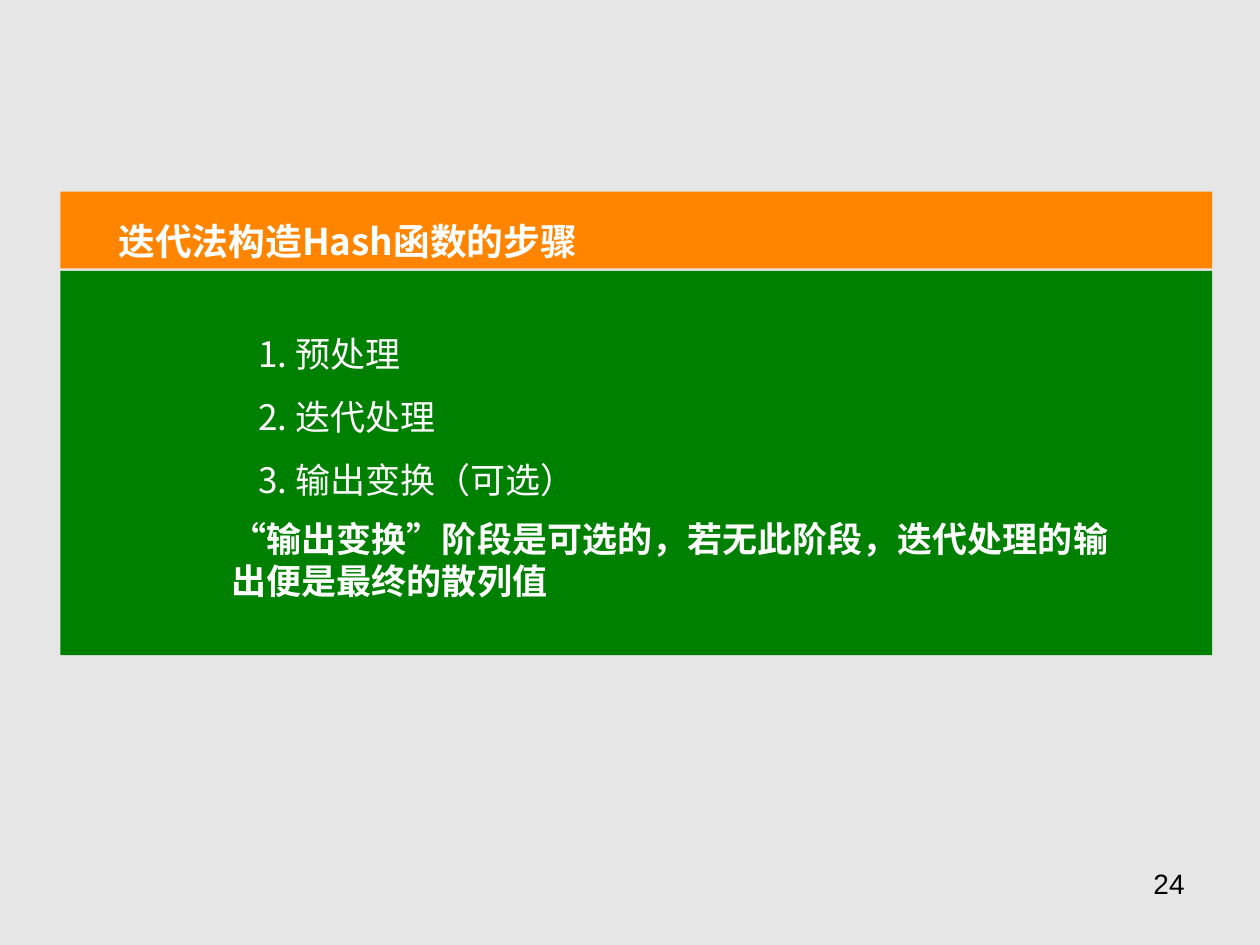
from lxml import etree
from pptx import Presentation
from pptx.dml.color import RGBColor
from pptx.enum.shapes import MSO_SHAPE
from pptx.enum.text import MSO_ANCHOR, MSO_AUTO_SIZE, PP_ALIGN
from pptx.oxml.ns import qn
from pptx.util import Inches, Pt

RECTANGLE = MSO_SHAPE.RECTANGLE
TOP = MSO_ANCHOR.TOP
NO_AUTOFIT = MSO_AUTO_SIZE.NONE
LEFT, RIGHT = PP_ALIGN.LEFT, PP_ALIGN.RIGHT

PANEL_LEFT, PANEL_WIDTH = 0.48, 9.14
STEPS = ["预处理", "迭代处理", "输出变换（可选）"]


def color(value):
    return RGBColor.from_string(value)


class SlideBuilder:
    font = "Noto Sans CJK SC"
    background = "E7E6E6"
    banner = "FF8500"
    panel = "008000"
    light = "FFFFFF"
    dark = "000000"

    def __init__(self, slide):
        self.slide = slide
        fill = slide.background.fill
        fill.solid()
        fill.fore_color.rgb = color(self.background)

    def rectangle(self, left, top, width, height, fill):
        shape = self.slide.shapes.add_shape(
            RECTANGLE, Inches(left), Inches(top), Inches(width), Inches(height))
        shape.shadow.inherit = False
        shape.fill.solid()
        shape.fill.fore_color.rgb = color(fill)
        shape.line.fill.background()

    def placeholder(self, shape, box, lines, size, **style):
        element = shape._element
        element.getparent().append(element)
        shape.left, shape.top, shape.width, shape.height = map(Inches, box)
        self.set_text(shape.text_frame, lines, size, **style)

    def text_box(self, box, lines, size, **style):
        shape = self.slide.shapes.add_textbox(*map(Inches, box))
        self.set_text(shape.text_frame, lines, size, **style)

    def set_text(self, frame, lines, size, bold=False, spacing=1.0, indent=0,
                 align=LEFT, font=None, fill=None):
        frame.text = "\n".join(lines)
        frame.word_wrap = True
        frame.auto_size = NO_AUTOFIT
        frame.vertical_anchor = TOP
        for paragraph in frame.paragraphs:
            properties = paragraph._p.get_or_add_pPr()
            properties.set("marL", str(Inches(indent)))
            properties.set("indent", "0")
            etree.SubElement(properties, qn("a:buNone"))
            paragraph.alignment = align
            paragraph.line_spacing = spacing
            paragraph.space_before = Pt(0)
            for run in paragraph.runs:
                self.format_run(run, size, bold, font or self.font, fill or self.light)

    def format_run(self, run, size, bold, font, fill):
        run.font.size = Pt(size)
        run.font.bold = bold
        run.font.name = font
        run.font.color.rgb = color(fill)
        properties = run._r.get_or_add_rPr()
        properties.set("lang", "zh-CN")
        etree.SubElement(properties, qn("a:ea")).set("typeface", font)


def main():
    presentation = Presentation()
    presentation.slide_width = Inches(10)
    presentation.slide_height = Inches(7.5)
    slide = presentation.slides.add_slide(presentation.slide_layouts[1])
    title, body = slide.placeholders
    builder = SlideBuilder(slide)

    builder.text_box((7.17, 6.83, 2.33, 0.52), ["24"], 16,
                     align=RIGHT, font="Arial", fill=builder.dark)
    builder.rectangle(PANEL_LEFT, 2.15, PANEL_WIDTH, 3.05, builder.panel)
    steps = [f"{number}. {step}" for number, step in enumerate(STEPS, 1)]
    builder.placeholder(body, (1.89, 2.42, 3.35, 1.6), steps, 20,
                        spacing=1.5, indent=0.06)
    builder.rectangle(PANEL_LEFT, 1.52, PANEL_WIDTH, 0.61, builder.banner)
    builder.placeholder(title, (0.84, 1.51, 8.54, 0.63),
                        ["迭代法构造Hash函数的步骤"], 21, bold=True, spacing=1.5)
    builder.text_box((1.74, 4.06, 7.19, 0.77),
                     ["“输出变换”阶段是可选的，若无此阶段，迭代处理的输出便是最终的散列值"],
                     20, bold=True)
    presentation.save("out.pptx")


if __name__ == "__main__":
    main()
